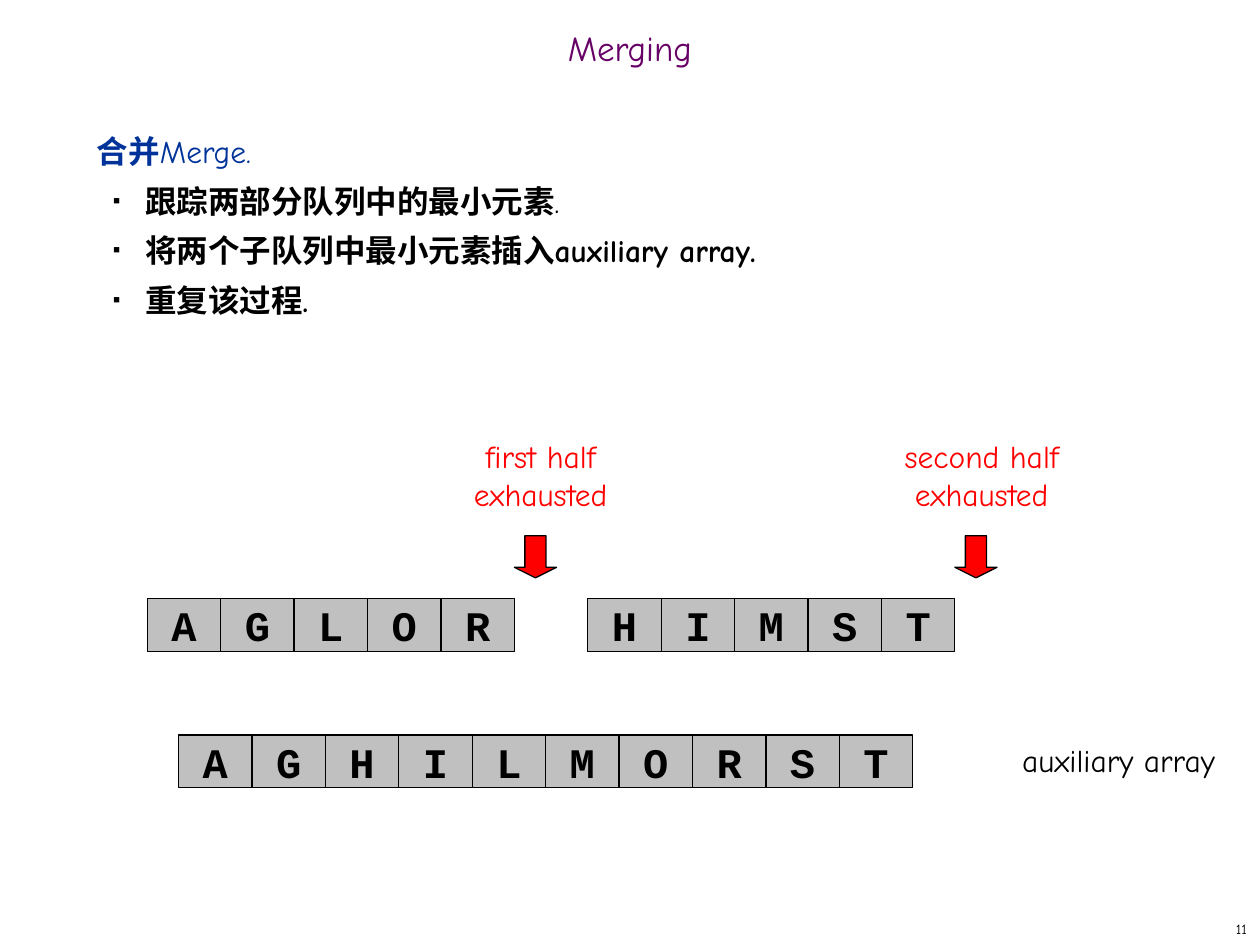
from lxml.etree import SubElement
from pptx import Presentation
from pptx.dml.color import RGBColor
from pptx.enum.shapes import MSO_SHAPE as Preset
from pptx.enum.text import MSO_ANCHOR as Anchor, MSO_AUTO_SIZE as AutoSize, PP_ALIGN as Align
from pptx.oxml.ns import qn
from pptx.util import Cm, Pt

COLORS = {"title": "660066", "heading": "003399", "text": "000000",
          "alert": "FF0000", "cell": "C0C0C0"}


class SlideBuilder:
    body_font = "Comic Neue"
    cell_font = "Courier New"
    cell_width, cell_height = 1.48, 1.06
    arrow_size = 0.85

    def __init__(self, presentation):
        self.slide = presentation.slides.add_slide(presentation.slide_layouts[1])

    def color(self, name):
        return RGBColor.from_string(COLORS[name])

    def place(self, shape, left, top, width, height):
        shape.left, shape.top = Cm(left), Cm(top)
        shape.width, shape.height = Cm(width), Cm(height)

    def format_run(self, run, size, color, bold=False, font=body_font):
        run.font.name = font
        run.font.size = Pt(size)
        run.font.bold = bold
        run.font.color.rgb = self.color(color)

    def title(self, text, *box):
        shape = self.slide.shapes.title
        self.place(shape, *box)
        frame = shape.text_frame
        frame.text = text
        frame.auto_size = AutoSize.NONE
        frame.vertical_anchor = Anchor.MIDDLE
        paragraph = frame.paragraphs[0]
        paragraph.alignment = Align.CENTER
        paragraph.line_spacing = 0.7
        self.format_run(paragraph.runs[0], 20, "title")

    def bullet(self, paragraph):
        properties = paragraph._p.get_or_add_pPr()
        properties.set("marL", str(Cm(0.97)))
        properties.set("indent", str(-Cm(0.64)))
        color = SubElement(properties, qn("a:buClr"))
        SubElement(color, qn("a:srgbClr"), val=COLORS["text"])
        SubElement(properties, qn("a:buSzPct"), val="35000")
        SubElement(properties, qn("a:buChar"), char="■")

    def no_bullet(self, paragraph):
        properties = paragraph._p.get_or_add_pPr()
        properties.set("marL", "0")
        properties.set("indent", "0")
        SubElement(properties, qn("a:buNone"))

    def body(self, heading, items, *box):
        shape = self.slide.placeholders[1]
        self.place(shape, *box)
        frame = shape.text_frame
        frame.auto_size = AutoSize.NONE
        for index, parts in enumerate([heading, *items]):
            paragraph = frame.add_paragraph() if index else frame.paragraphs[0]
            if index:
                paragraph.level = 1
                self.bullet(paragraph)
                paragraph.line_spacing = 1.1
            else:
                self.no_bullet(paragraph)
            paragraph.space_before = Pt(4.5 if index else 0)
            for text, bold in parts:
                run = paragraph.add_run()
                run.text = text
                self.format_run(run, 18, "text" if index else "heading", bold)

    def label(self, text, left, top, width, height, color="text", size=18,
              align=Align.CENTER, anchor=Anchor.TOP):
        shape = self.slide.shapes.add_textbox(Cm(left), Cm(top), Cm(width), Cm(height))
        frame = shape.text_frame
        frame.word_wrap = True
        frame.vertical_anchor = anchor
        frame.text = text
        paragraph = frame.paragraphs[0]
        paragraph.alignment = align
        for run in paragraph.runs:
            self.format_run(run, size, color)

    def preset(self, shapes, kind, fill, left, top, width, height):
        shape = shapes.add_shape(kind, Cm(left), Cm(top), Cm(width), Cm(height))
        shape.shadow.inherit = False
        shape.fill.solid()
        shape.fill.fore_color.rgb = self.color(fill)
        shape.line.color.rgb = self.color("text")
        shape.line.width = Pt(0.75)
        return shape

    def arrow(self, left, top):
        shape = self.preset(self.slide.shapes, Preset.DOWN_ARROW, "alert",
                            left, top, self.arrow_size, self.arrow_size)
        shape.adjustments[0] = 0.5
        shape.adjustments[1] = 0.25

    def array(self, letters, left, top):
        group = self.slide.shapes.add_group_shape()
        for index, letter in enumerate(letters):
            cell = self.preset(group.shapes, Preset.RECTANGLE, "cell",
                               left + index * self.cell_width, top,
                               self.cell_width, self.cell_height)
            frame = cell.text_frame
            frame.word_wrap = False
            frame.vertical_anchor = Anchor.MIDDLE
            frame.text = letter
            paragraph = frame.paragraphs[0]
            paragraph.alignment = Align.CENTER
            self.format_run(paragraph.runs[0], 24, "text", True, self.cell_font)


def main():
    presentation = Presentation()
    presentation.slide_width, presentation.slide_height = Cm(25.4), Cm(19.05)
    builder = SlideBuilder(presentation)

    builder.title("Merging", 0, 0.43, 25.4, 1.27)
    builder.body(
        [("合并", True), ("Merge.", False)],
        [[("跟踪两部分队列中的最小元素", True), (".", False)],
         [("将两个子队列中最小元素插入auxiliary array.", True)],
         [("重复该过程.", True)]],
        1.7, 2.54, 21.8, 15.04)

    halves = [("AGLOR", 2.97, "first half\vexhausted", 8.26),
              ("HIMST", 11.85, "second half\vexhausted", 17.15)]
    for letters, left, caption, caption_left in halves:
        builder.label(caption, caption_left, 8.68, 5.28, 1.79, "alert")
        builder.arrow(left + len(letters) * builder.cell_width, 10.8)
        builder.array(letters, left, 12.07)

    builder.array("AGHILMORST", 3.6, 14.82)
    builder.label("auxiliary array", 20.11, 14.82, 4.88, 1.01)
    builder.label("11", 20.11, 18.42, 5.28, 0.63, size=8,
                  align=Align.RIGHT, anchor=Anchor.MIDDLE)
    presentation.save("out.pptx")


if __name__ == "__main__":
    main()
